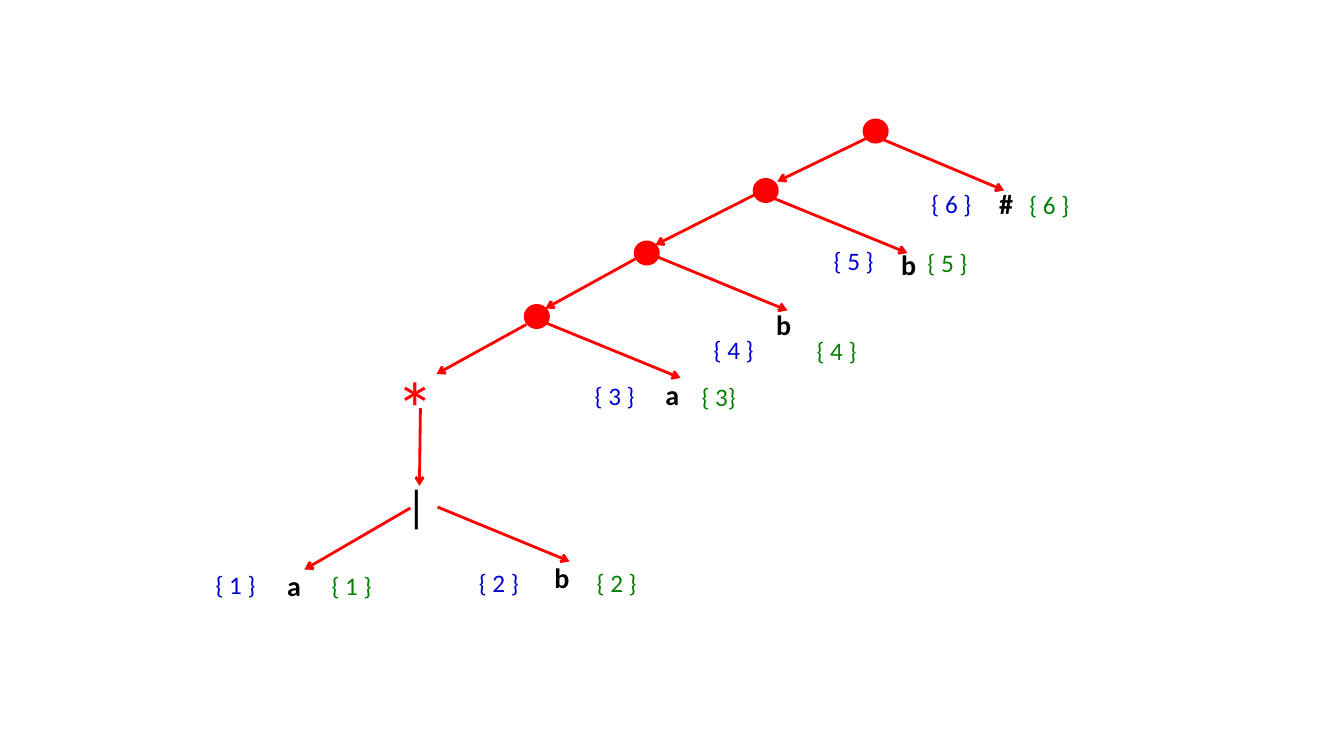
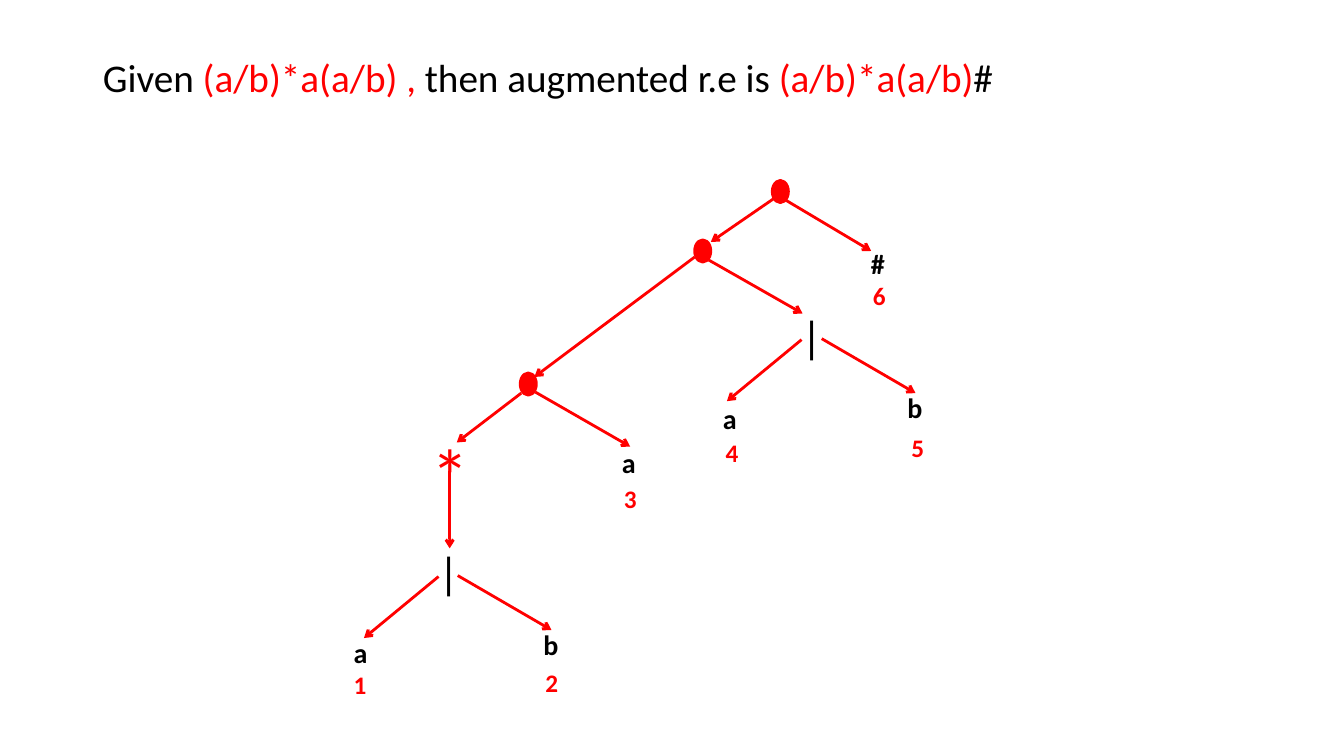
from lxml.etree import SubElement
from pptx import Presentation
from pptx.dml.color import RGBColor
from pptx.enum.shapes import MSO_CONNECTOR, MSO_SHAPE
from pptx.enum.text import MSO_ANCHOR, MSO_AUTO_SIZE, PP_ALIGN
from pptx.oxml.ns import qn
from pptx.util import Inches, Pt

RED = RGBColor(0xFF, 0, 0)
BLACK = RGBColor(0, 0, 0)
BLUE = RGBColor(0, 0, 0xCC)
GREEN = RGBColor(0, 0x80, 0)
FONT = "Calibri"
STROKE = Pt(2)

# Text styles: size, colour, bold, box height
LEAF = (20, BLACK, True, 0.44)
STAR = (54, RED, False, 0.69)
BAR = (32, BLACK, False, 0.44)
FIRST = (18, BLUE, False, 0.4)
LAST = (18, GREEN, False, 0.4)
INDEX = (18, RED, True, 0.4)


def add_run(para, text, size, color, bold=False):
    run = para.add_run()
    run.text = text
    font = run.font
    font.name, font.size, font.bold = FONT, Pt(size), bold
    font.color.rgb = color


def add_label(slide, text, left, top, width, style):
    size, color, bold, height = style
    box = slide.shapes.add_textbox(Inches(left), Inches(top),
                                   Inches(width), Inches(height))
    box.text_frame.word_wrap = True
    add_run(box.text_frame.paragraphs[0], text, size, color, bold)


def add_dot(slide, left, top, width):
    dot = slide.shapes.add_shape(MSO_SHAPE.OVAL, Inches(left), Inches(top),
                                 Inches(width), Inches(0.22))
    dot.shadow.inherit = False
    dot.fill.solid()
    dot.fill.fore_color.rgb = RED
    dot.line.color.rgb = RED
    dot.line.width = STROKE


def add_arrow(slide, x1, y1, x2, y2):
    arrow = slide.shapes.add_connector(MSO_CONNECTOR.STRAIGHT, Inches(x1),
                                       Inches(y1), Inches(x2), Inches(y2))
    arrow.line.color.rgb = RED
    arrow.line.width = STROKE
    SubElement(arrow.line._get_or_add_ln(), qn("a:tailEnd"), type="arrow")
    SubElement(arrow._element.spPr, qn("a:effectLst"))


def add_tree(slide, box, dots, width, arrows, labels):
    """Draw a syntax tree; all places are relative to the box corner."""
    left, top = box
    for x, y in dots:
        add_dot(slide, left + x, top + y, width)
    for x1, y1, x2, y2 in arrows:
        add_arrow(slide, left + x1, top + y1, left + x2, top + y2)
    for text, x, y, wide, style in labels:
        add_label(slide, text, left + x, top + y, wide, style)


def add_heading(slide, box, parts):
    body = slide.placeholders[1]
    body.left, body.top, body.width, body.height = map(Inches, box)
    frame = body.text_frame
    frame.word_wrap = True
    frame.auto_size = MSO_AUTO_SIZE.NONE
    frame.vertical_anchor = MSO_ANCHOR.TOP
    para = frame.paragraphs[0]
    para.alignment = PP_ALIGN.LEFT
    para.line_spacing = 0.9
    para.space_before = Pt(10)
    props = para._p.get_or_add_pPr()
    props.set("marL", "0")
    props.set("indent", "0")
    SubElement(props, qn("a:buNone"))
    for text, color in parts:
        add_run(para, text, 28, color)


def sets_slide(deck):
    """Tree with the first and last position sets beside each leaf."""
    slide = deck.slides.add_slide(deck.slide_layouts[6])
    dots = [(6.57, 0.19), (5.48, 0.78), (4.3, 1.4), (3.21, 2.03)]
    arrows = [
        (6.62, 0.36, 5.71, 0.8), (6.7, 0.36, 7.96, 0.89),
        (5.49, 0.93, 4.5, 1.43), (5.68, 0.97, 7, 1.51),
        (4.3, 1.57, 3.41, 2.06), (4.5, 1.54, 5.81, 2.08),
        (3.22, 2.22, 2.33, 2.71), (3.43, 2.21, 4.75, 2.75),
        (2.17, 3.05, 2.16, 3.82),
        (2.07, 4.04, 1.02, 4.65), (2.34, 4.03, 3.65, 4.57),
    ]
    # Letter, its place, then first set and last set with their places
    leaves = [
        ("a", 0.75, 4.59, "{ 1 }", 0.04, 4.6, "{ 1 }", 1.19, 4.61),
        ("b", 3.4, 4.51, "{ 2 }", 2.65, 4.58, "{ 2 }", 3.82, 4.58),
        ("a", 4.5, 2.7, "{ 3 }", 3.8, 2.72, "{ 3}", 4.86, 2.73),
        ("b", 5.6, 2, "{ 4 }", 4.98, 2.27, "{ 4 }", 6, 2.28),
        ("b", 6.84, 1.41, "{ 5 }", 6.17, 1.38, "{ 5 }", 7.1, 1.4),
        ("#", 7.81, 0.8, "{ 6 }", 7.14, 0.82, "{ 6 }", 8.11, 0.83),
    ]
    labels = [("*", 1.83, 2.53, 0.82, STAR), ("|", 1.93, 3.69, 0.41, BAR)]
    for leaf, x, y, first, fx, fy, last, lx, ly in leaves:
        labels += [(leaf, x, y, 0.45, LEAF), (first, fx, fy, 0.78, FIRST),
                   (last, lx, ly, 0.78, LAST)]
    add_tree(slide, (2, 1), dots, 0.23, arrows, labels)


def index_slide(deck):
    """Augmented expression above its tree with numbered leaves."""
    slide = deck.slides.add_slide(deck.slide_layouts[1])
    title = slide.shapes.title._element
    title.getparent().remove(title)
    add_heading(slide, (0.92, 0.53, 11.5, 6.63), [
        ("Given ", BLACK), ("(a/b)*a(a/b) , ", RED),
        ("then augmented r.e is ", BLACK), ("(a/b)*a(a/b)", RED),
        ("#", BLACK),
    ])
    dots = [(4.66, 0.79), (3.89, 1.38), (2.16, 2.7)]
    arrows = [
        (4.69, 0.96, 4.05, 1.4), (4.75, 0.96, 5.64, 1.49),
        (3.89, 1.55, 2.3, 2.74), (4.03, 1.58, 4.96, 2.11),
        (4.95, 2.37, 4.21, 2.98), (5.15, 2.36, 6.08, 2.9),
        (2.17, 2.9, 1.53, 3.39), (2.31, 2.89, 3.25, 3.43),
        (1.46, 3.67, 1.46, 4.44),
        (1.35, 4.72, 0.61, 5.33), (1.54, 4.71, 2.47, 5.25),
    ]
    # Letter and its place, then the place of its index
    leaves = [
        ("a", 0.41, 5.26, 0.41, 5.59), ("b", 2.29, 5.18, 2.31, 5.57),
        ("a", 3.07, 3.37, 3.09, 3.75), ("a", 4.07, 2.93, 4.1, 3.29),
        ("b", 5.9, 2.83, 5.94, 3.24), ("#", 5.54, 1.4, 5.56, 1.73),
    ]
    labels = [("*", 1.18, 3.2, 0.58, STAR), ("|", 1.25, 4.36, 0.29, BAR),
              ("|", 4.85, 2.01, 0.29, BAR)]
    for num, (leaf, x, y, nx, ny) in enumerate(leaves, 1):
        labels += [(leaf, x, y, 0.32, LEAF), (str(num), nx, ny, 0.4, INDEX)]
    add_tree(slide, (3, 1), dots, 0.16, arrows, labels)


def main():
    deck = Presentation()
    deck.slide_width, deck.slide_height = Inches(13.33), Inches(7.5)
    sets_slide(deck)
    index_slide(deck)
    deck.save("out.pptx")


if __name__ == "__main__":
    main()
